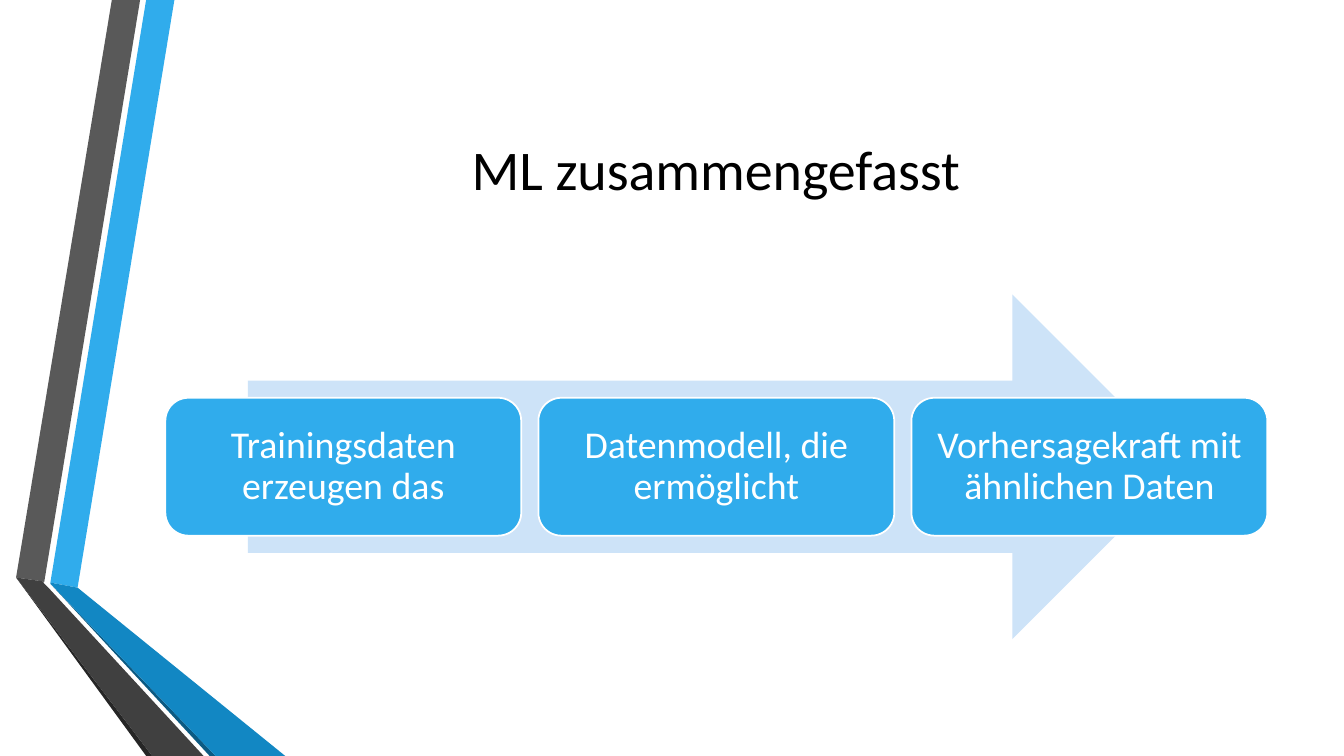
from pptx import Presentation
from pptx.dml.color import RGBColor
from pptx.enum.shapes import MSO_SHAPE
from pptx.enum.text import MSO_ANCHOR, MSO_AUTO_SIZE, PP_ALIGN
from pptx.util import Inches, Pt

ARROW = MSO_SHAPE.RIGHT_ARROW
ROUNDED = MSO_SHAPE.ROUNDED_RECTANGLE
MIDDLE = MSO_ANCHOR.MIDDLE
NO_AUTOFIT = MSO_AUTO_SIZE.NONE
CENTER = PP_ALIGN.CENTER

FONT = "Calibri"
BLUE = "30ACEC"
PALE_BLUE = "CDE3F8"
WHITE = "FFFFFF"
BLACK = "000000"

RIBBONS = [
    (BLUE, [(0.5, 5.78), (0.77, 5.83), (1.73, 0), (1.45, 0)]),
    ("595959", [(1.39, 0), (1.11, 0), (0.16, 5.73), (0.44, 5.77)]),
    ("262626", [(0.16, 5.73), (1.45, 7.5), (1.51, 7.5)]),
    ("0C5A82", [(0.5, 5.79), (2.08, 7.5), (2.14, 7.5)]),
    ("1287C3", [(0.5, 5.79), (2.14, 7.5), (2.83, 7.5), (0.77, 5.83), (0.5, 5.78)]),
    ("404040", [(2.02, 7.5), (0.48, 5.83), (0.43, 5.78), (0.44, 5.77),
                (0.16, 5.73), (1.51, 7.5)]),
]
STEPS = [
    "Trainingsdaten erzeugen das",
    "Datenmodell, die ermöglicht",
    "Vorhersagekraft mit ähnlichen Daten",
]


def rgb(color):
    return RGBColor.from_string(color)


def style_shape(sp, fill, line=None):
    sp.shadow.inherit = False
    sp.fill.solid()
    sp.fill.fore_color.rgb = rgb(fill)
    if line:
        sp.line.color.rgb = rgb(line)
        sp.line.width = Pt(1.25)
    else:
        sp.line.fill.background()


def write_centered(tf, text, size, color):
    tf.word_wrap = True
    tf.auto_size = NO_AUTOFIT
    tf.vertical_anchor = MIDDLE
    p = tf.paragraphs[0]
    p.alignment = CENTER
    p.line_spacing = 0.9
    r = p.add_run()
    r.text = text
    r.font.name = FONT
    r.font.size = Pt(size)
    r.font.color.rgb = rgb(color)


def add_ribbons(s, left, top):
    for color, points in RIBBONS:
        corners = [(Inches(left + x), Inches(top + y)) for x, y in points]
        outline = s.shapes.build_freeform(*corners[0])
        outline.add_line_segments(corners[1:], close=True)
        style_shape(outline.convert_to_shape(), color)


def add_title(s, left, top, width, height):
    sp = s.shapes.title
    sp.left, sp.top = Inches(left), Inches(top)
    sp.width, sp.height = Inches(width), Inches(height)
    write_centered(sp.text_frame, "ML zusammengefasst", 40, BLACK)


def add_process(s, left, top, width, height):
    arrow_width = 0.85 * width
    arrow = s.shapes.add_shape(
        ARROW, Inches(left + (width - arrow_width) / 2), Inches(top),
        Inches(arrow_width), Inches(height))
    style_shape(arrow, PALE_BLUE)

    gap = 0.17
    step_width = (width - gap * (len(STEPS) - 1)) / len(STEPS)
    step_height = 0.4 * height
    step_top = top + (height - step_height) / 2
    for i, text in enumerate(STEPS):
        sp = s.shapes.add_shape(
            ROUNDED, Inches(left + i * (step_width + gap)), Inches(step_top),
            Inches(step_width), Inches(step_height))
        style_shape(sp, BLUE, WHITE)
        tf = sp.text_frame
        tf.margin_left = tf.margin_right = Inches(0.11)
        tf.margin_top = tf.margin_bottom = Inches(0.11)
        write_centered(tf, text, 27, WHITE)


def main():
    prs = Presentation()
    prs.slide_width, prs.slide_height = Inches(13.33), Inches(7.5)
    s = prs.slides.add_slide(prs.slide_layouts[5])
    add_ribbons(s, 0, 0)
    add_title(s, 1.62, 0.75, 10.96, 1.92)
    add_process(s, 1.64, 2.92, 10.93, 3.42)
    prs.save("out.pptx")


if __name__ == "__main__":
    main()
